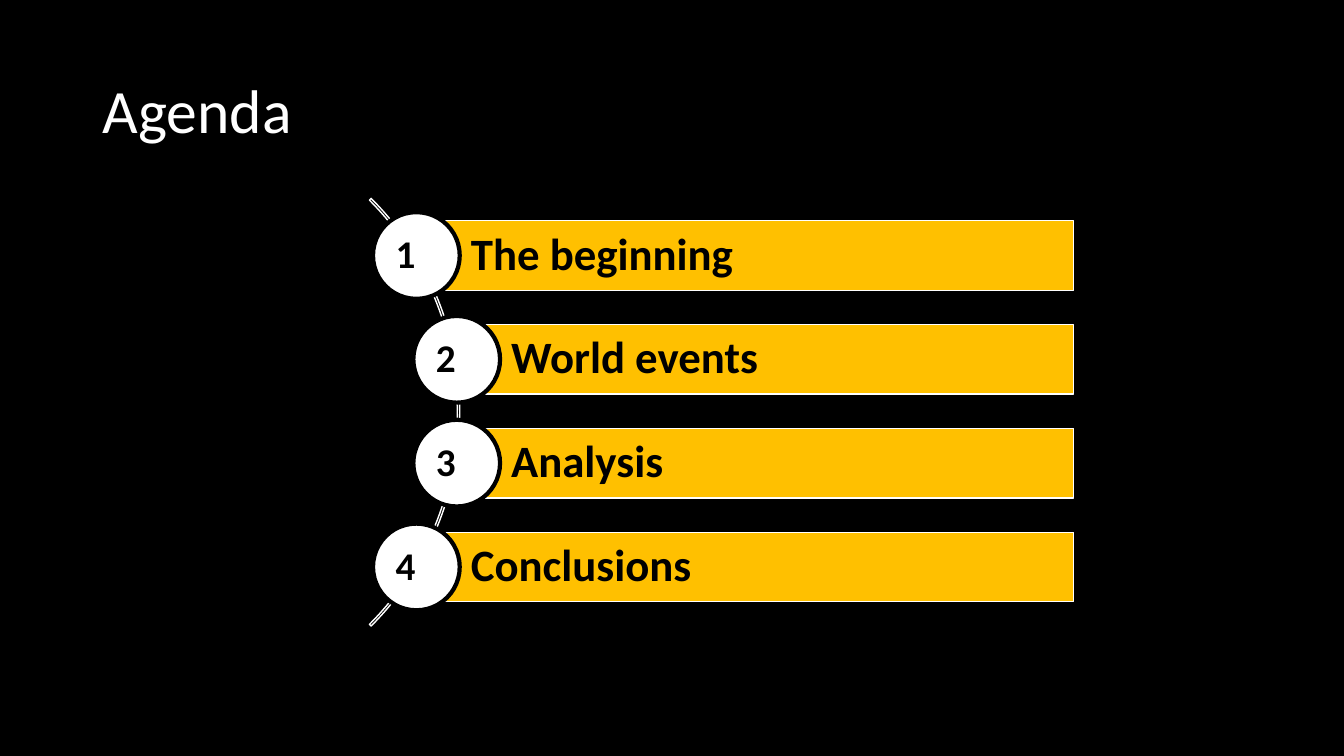
"""Build the agenda slide with four numbered bars along an arc."""
from pptx import Presentation
from pptx.dml.color import RGBColor
from pptx.enum.shapes import MSO_SHAPE as Shape
from pptx.enum.text import MSO_ANCHOR as Anchor, PP_ALIGN as Align
from pptx.util import Inches, Pt

TITLE = "Agenda"
TOPICS = [
    ("The beginning", 4.13),
    ("World events", 4.53),
    ("Analysis", 4.53),
    ("Conclusions", 4.13),
]

BLACK = RGBColor(0x00, 0x00, 0x00)
WHITE = RGBColor(0xFF, 0xFF, 0xFF)
AMBER = RGBColor(0xFF, 0xC0, 0x00)
FONT = "Calibri"

BAR_RIGHT = 10.65
BAR_TOP = 2.19
BAR_HEIGHT = 0.69
BAR_PITCH = 1.03
CIRCLE_SIZE = 0.86
ARC_ADJUSTMENTS = (189, 27, 0.004)


def write(shape, text, size, color, bold=False, anchor=Anchor.MIDDLE,
          left=0.1, spacing=1.0):
    frame = shape.text_frame
    frame.word_wrap = True
    frame.vertical_anchor = anchor
    frame.margin_left = Inches(left)
    paragraph = frame.paragraphs[0]
    paragraph.alignment = Align.LEFT
    paragraph.line_spacing = spacing
    run = paragraph.add_run()
    run.text = text
    run.font.name = FONT
    run.font.size = Pt(size)
    run.font.bold = bold
    run.font.color.rgb = color


def add_outline(shapes, kind, box, line, width, fill=None):
    shape = shapes.add_shape(kind, *map(Inches, box))
    shape.shadow.inherit = False
    shape.line.color.rgb = line
    shape.line.width = Pt(width)
    if fill is None:
        shape.fill.background()
    else:
        shape.fill.solid()
        shape.fill.fore_color.rgb = fill
    return shape


def add_topic(slide, index, text, left):
    group = slide.shapes.add_group_shape()
    top = BAR_TOP + index * BAR_PITCH
    bar = add_outline(group.shapes, Shape.RECTANGLE,
                      (left, top, BAR_RIGHT - left, BAR_HEIGHT), WHITE, 1, AMBER)
    write(bar, text, 32, BLACK, bold=True, left=0.54, spacing=0.9)
    circle_top = top + (BAR_HEIGHT - CIRCLE_SIZE) / 2
    circle = add_outline(group.shapes, Shape.OVAL,
                         (left - CIRCLE_SIZE / 2, circle_top, CIRCLE_SIZE, CIRCLE_SIZE),
                         BLACK, 3, WHITE)
    write(circle, str(index + 1), 28, BLACK, bold=True, anchor=Anchor.TOP)


def main():
    presentation = Presentation()
    presentation.slide_width = Inches(13.33)
    presentation.slide_height = Inches(7.5)
    slide = presentation.slides.add_slide(presentation.slide_layouts[5])
    slide.background.fill.solid()
    slide.background.fill.fore_color.rgb = BLACK

    title = slide.shapes.title
    title.left, title.top = Inches(0.92), Inches(0.4)
    title.width, title.height = Inches(11.5), Inches(1.45)
    write(title, TITLE, 44, WHITE, spacing=0.9)

    arc = add_outline(slide.shapes, Shape.BLOCK_ARC, (-1.44, 1.09, 6, 6), WHITE, 1)
    for position, value in enumerate(ARC_ADJUSTMENTS):
        arc.adjustments[position] = value

    for index, (text, left) in enumerate(TOPICS):
        add_topic(slide, index, text, left)

    presentation.save("out.pptx")


if __name__ == "__main__":
    main()
